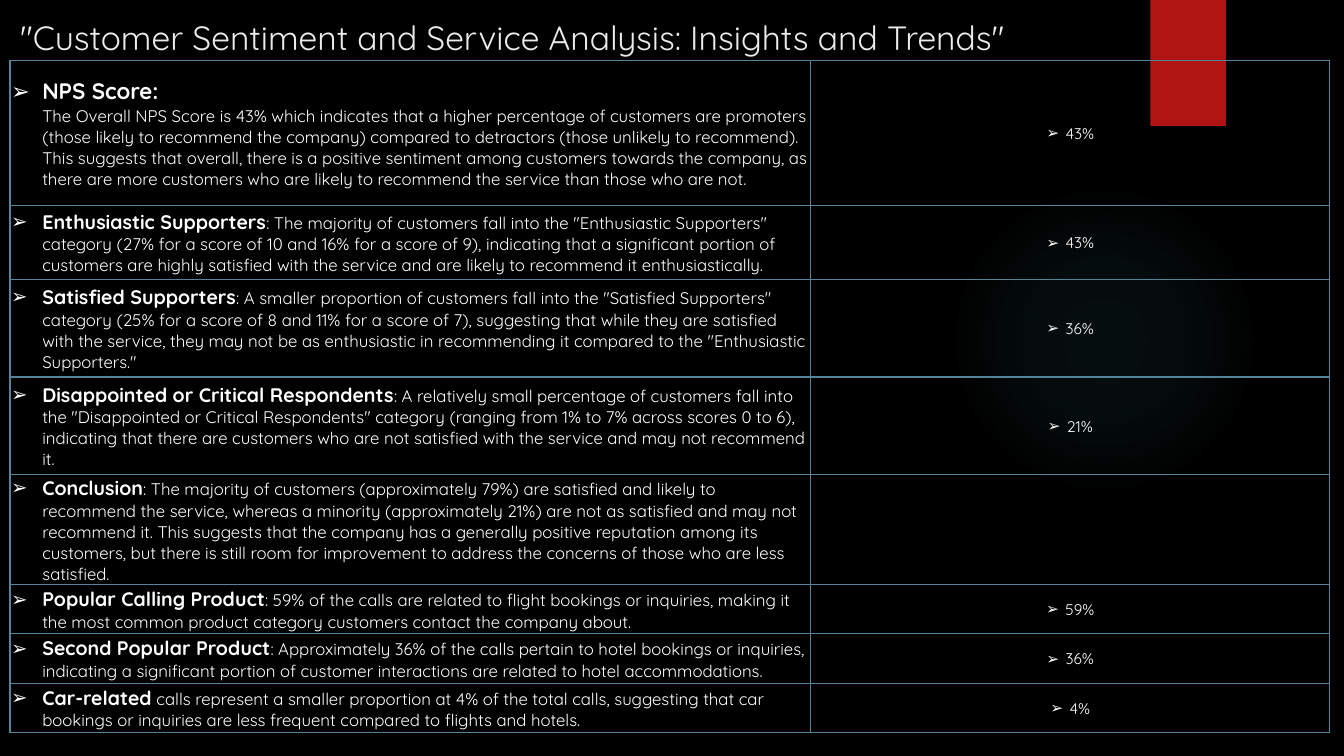
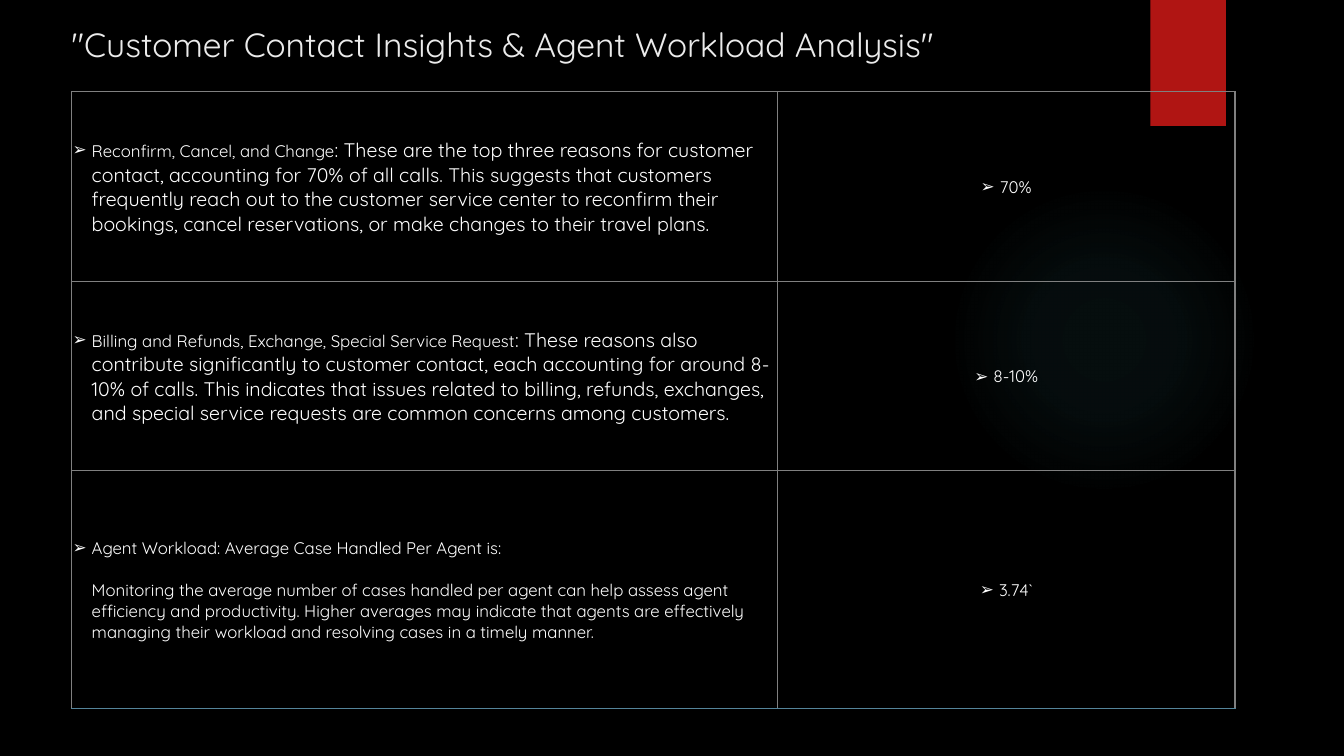
from lxml import etree
from pptx import Presentation
from pptx.dml.color import RGBColor
from pptx.enum.shapes import MSO_SHAPE
from pptx.enum.text import MSO_ANCHOR, PP_ALIGN
from pptx.oxml import parse_xml
from pptx.oxml.ns import nsdecls, qn
from pptx.util import Inches, Pt

OVAL, RECTANGLE = MSO_SHAPE.OVAL, MSO_SHAPE.RECTANGLE
MIDDLE, CENTER, LEFT = MSO_ANCHOR.MIDDLE, PP_ALIGN.CENTER, PP_ALIGN.LEFT

FONT = "Quicksand"
BLACK = RGBColor(0x00, 0x00, 0x00)
WHITE = RGBColor(0xFF, 0xFF, 0xFF)
TITLE_GREY = RGBColor(0xEB, 0xEB, 0xEB)
RED = RGBColor(0xB0, 0x15, 0x13)
GLOW = RGBColor(0x50, 0xB9, 0xC1)
BLUE_LINE = RGBColor(0x54, 0x84, 0x9A)
GREY_LINE = RGBColor(0x80, 0x80, 0x80)

GLOW_STOPS = [(0, 7), (36, 6), (69, 0)]  # position and opacity in percent
CELL_FORMAT = {
    "vertical_anchor": MIDDLE,
    "margin_left": Inches(0.01),
    "margin_right": Inches(0.01),
    "margin_top": Inches(0.01),
    "margin_bottom": 0,
}
VALUE_INDENT = 0.19

# A row is: height, paragraphs of (text, size, bold) runs, value
SLIDES = [
    {
        "title": '"Customer Sentiment and Service Analysis: Insights and Trends"',
        "title_box": (0.1, 0.12, 10.29, 0.59),
        "table_at": (0.1, 0.6),
        "columns": (7.94, 5.15),
        "line": BLUE_LINE,
        "indent": 0.31,
        "value_size": 11,
        "paragraph_gap": 0,
        "rows": [
            (1.44, [
                [("NPS Score:", 16, True)],
                [("The Overall NPS Score is 43% which indicates that a higher percentage of "
                  "customers are promoters (those likely to recommend the company) compared to "
                  "detractors (those unlikely to recommend). This suggests that overall, there is "
                  "a positive sentiment among customers towards the company, as there are more "
                  "customers who are likely to recommend the service than those who are not.",
                  12, False)],
            ], "43%"),
            (0.73, [[
                ("Enthusiastic Supporters", 14, True),
                (': The majority of customers fall into the "Enthusiastic Supporters" category '
                 "(27% for a score of 10 and 16% for a score of 9), indicating that a significant "
                 "portion of customers are highly satisfied with the service and are likely to "
                 "recommend it enthusiastically.", 12, False),
            ]], "43%"),
            (0.97, [[
                ("Satisfied Supporters", 14, True),
                (': A smaller proportion of customers fall into the "Satisfied Supporters" '
                 "category (25% for a score of 8 and 11% for a score of 7), suggesting that while "
                 "they are satisfied with the service, they may not be as enthusiastic in "
                 'recommending it compared to the "Enthusiastic Supporters."', 12, False),
            ]], "36%"),
            (0.97, [[
                ("Disappointed or Critical Respondents", 14, True),
                (": A relatively small percentage of customers fall into the "
                 '"Disappointed or Critical Respondents" category (ranging from 1% to 7% across '
                 "scores 0 to 6), indicating that there are customers who are not satisfied with "
                 "the service and may not recommend it.", 12, False),
            ]], "21%"),
            (1.09, [[
                ("Conclusion", 14, True),
                (": The majority of customers (approximately 79%) are satisfied and likely to "
                 "recommend the service, whereas a minority (approximately 21%) are not as "
                 "satisfied and may not recommend it. This suggests that the company has a "
                 "generally positive reputation among its customers, but there is still room for "
                 "improvement to address the concerns of those who are less satisfied.",
                 12, False),
            ]], None),
            (0.49, [[
                ("Popular Calling Product", 14, True),
                (": 59% of the calls are related to flight bookings or inquiries, making it the "
                 "most common product category customers contact the company about.", 12, False),
            ]], "59%"),
            (0.49, [[
                ("Second Popular Product", 14, True),
                (": Approximately 36% of the calls pertain to hotel bookings or inquiries, "
                 "indicating a significant portion of customer interactions are related to hotel "
                 "accommodations.", 12, False),
            ]], "36%"),
            (0.49, [[
                ("Car-related", 14, True),
                (" calls represent a smaller proportion at 4% of the total calls, suggesting that "
                 "car bookings or inquiries are less frequent compared to flights and hotels.",
                 12, False),
            ]], "4%"),
        ],
    },
    {
        "title": '"Customer Contact Insights & Agent Workload Analysis"',
        "title_box": (0.61, 0.19, 9.36, 0.63),
        "table_at": (0.71, 0.91),
        "columns": (7, 4.54),
        "line": GREY_LINE,
        "indent": 0.19,
        "value_size": 12,
        "paragraph_gap": 15,
        "rows": [
            (1.88, [[
                ("Reconfirm, Cancel, and Change", 12, False),
                (": These are the top three reasons for customer contact, accounting for 70% of "
                 "all calls. This suggests that customers frequently reach out to the customer "
                 "service center to reconfirm their bookings, cancel reservations, or make "
                 "changes to their travel plans.", 14, False),
            ]], "70%"),
            (1.88, [[
                ("Billing and Refunds, Exchange, Special Service Request", 12, False),
                (": These reasons also contribute significantly to customer contact, each "
                 "accounting for around 8-10% of calls. This indicates that issues related to "
                 "billing, refunds, exchanges, and special service requests are common concerns "
                 "among customers.", 14, False),
            ]], "8-10%"),
            (2.36, [
                [("Agent Workload: Average Case Handled Per Agent is:", 12, False)],
                [("Monitoring the average number of cases handled per agent can help assess agent "
                  "efficiency and productivity. Higher averages may indicate that agents are "
                  "effectively managing their workload and resolving cases in a timely manner.",
                  12, False)],
            ], "3.74`"),
        ],
    },
]


def write_cell(cell, paragraphs, indent, align, gap):
    """Fill a cell with runs; only its first paragraph carries the arrow bullet."""
    for number, runs in enumerate(paragraphs):
        frame = cell.text_frame
        paragraph = frame.add_paragraph() if number else frame.paragraphs[0]
        paragraph.alignment = align
        paragraph.space_before = Pt(gap if number else 0)
        for text, size, bold in runs:
            run = paragraph.add_run()
            run.text = text
            run.font.name, run.font.size, run.font.bold = FONT, Pt(size), bold
            run.font.color.rgb = WHITE
        properties = paragraph._p.get_or_add_pPr()
        properties.set("marL", str(Inches(indent)))
        properties.set("indent", str(0 if number else -Inches(indent)))
        if number:
            etree.SubElement(properties, qn("a:buNone"))
        else:
            etree.SubElement(properties, qn("a:buFont")).set("typeface", "Arial")
            etree.SubElement(properties, qn("a:buChar")).set("char", "➢")


def set_borders(cell, colors):
    """Draw 1 pt borders; colors maps the sides L, R, T, B in that order."""
    properties = cell._tc.get_or_add_tcPr()
    for position, (side, color) in enumerate(colors.items()):
        properties.insert(position, parse_xml(
            f'<a:ln{side} {nsdecls("a")} w="{Pt(1)}"><a:solidFill>'
            f'<a:srgbClr val="{color}"/></a:solidFill></a:ln{side}>'))


prs = Presentation()
prs.slide_width, prs.slide_height = Inches(13.33), Inches(7.5)
background = prs.slide_master.background.fill
background.solid()
background.fore_color.rgb = BLACK

for content in SLIDES:
    slide = prs.slides.add_slide(prs.slide_layouts[6])

    glow = slide.shapes.add_shape(OVAL, Inches(9.41), Inches(1.83), Inches(3.08), Inches(3.08))
    ribbon = slide.shapes.add_shape(RECTANGLE, Inches(11.41), 0, Inches(0.75), Inches(1.25))
    for decoration in (glow, ribbon):
        decoration.shadow.inherit = False
        decoration.line.fill.background()
    ribbon.fill.solid()
    ribbon.fill.fore_color.rgb = RED
    stops = "".join(
        f'<a:gs pos="{position * 1000}"><a:srgbClr val="{GLOW}">'
        f'<a:alpha val="{opacity * 1000}"/></a:srgbClr></a:gs>'
        for position, opacity in GLOW_STOPS)
    glow._element.spPr.find(qn("a:prstGeom")).addnext(parse_xml(
        f'<a:gradFill {nsdecls("a")}><a:gsLst>{stops}</a:gsLst><a:path path="circle">'
        '<a:fillToRect l="50000" t="50000" r="50000" b="50000"/></a:path></a:gradFill>'))

    title = slide.shapes.add_textbox(*map(Inches, content["title_box"])).text_frame
    title.word_wrap = True
    title.text = content["title"]
    title_font = title.paragraphs[0].runs[0].font
    title_font.name, title_font.size = FONT, Pt(24)
    title_font.color.rgb = TITLE_GREY

    rows, columns = content["rows"], content["columns"]
    left, top = content["table_at"]
    table = slide.shapes.add_table(
        len(rows), len(columns), Inches(left), Inches(top),
        Inches(sum(columns)), Inches(sum(row[0] for row in rows))).table
    table.first_row = table.horz_banding = False
    for column, width in zip(table.columns, columns):
        column.width = Inches(width)

    for index, (height, finding, value) in enumerate(rows):
        table.rows[index].height = Inches(height)
        finding_cell, value_cell = table.rows[index].cells
        borders = dict.fromkeys("LRTB", content["line"])
        if index == len(rows) - 1:
            borders["B"] = BLUE_LINE
        for cell in (finding_cell, value_cell):
            for attribute, setting in CELL_FORMAT.items():
                setattr(cell, attribute, setting)
            cell.fill.background()
            set_borders(cell, borders)
        write_cell(finding_cell, finding, content["indent"], LEFT, content["paragraph_gap"])
        if value:
            write_cell(value_cell, [[(value, content["value_size"], False)]],
                       VALUE_INDENT, CENTER, 0)

prs.save("out.pptx")
